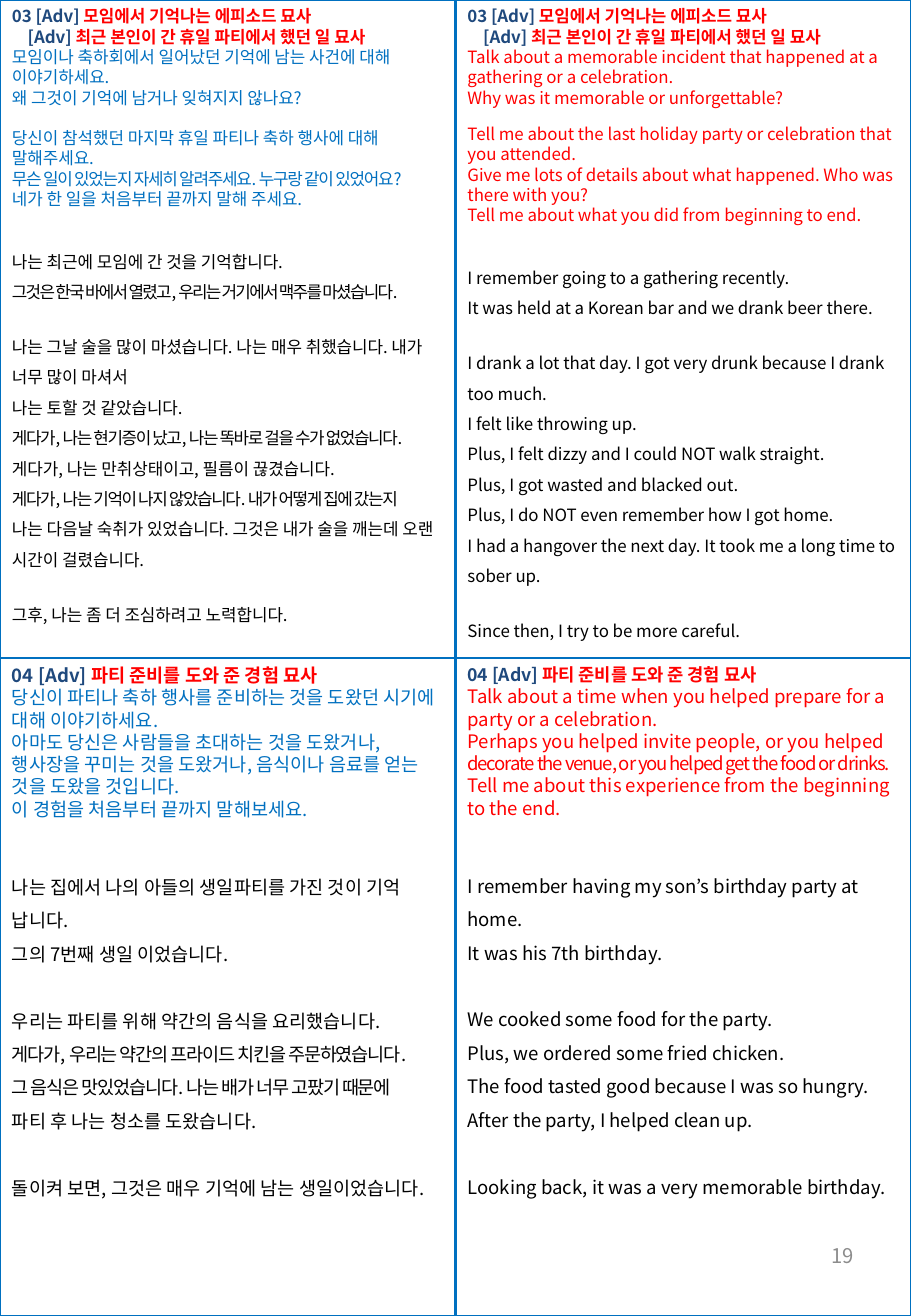
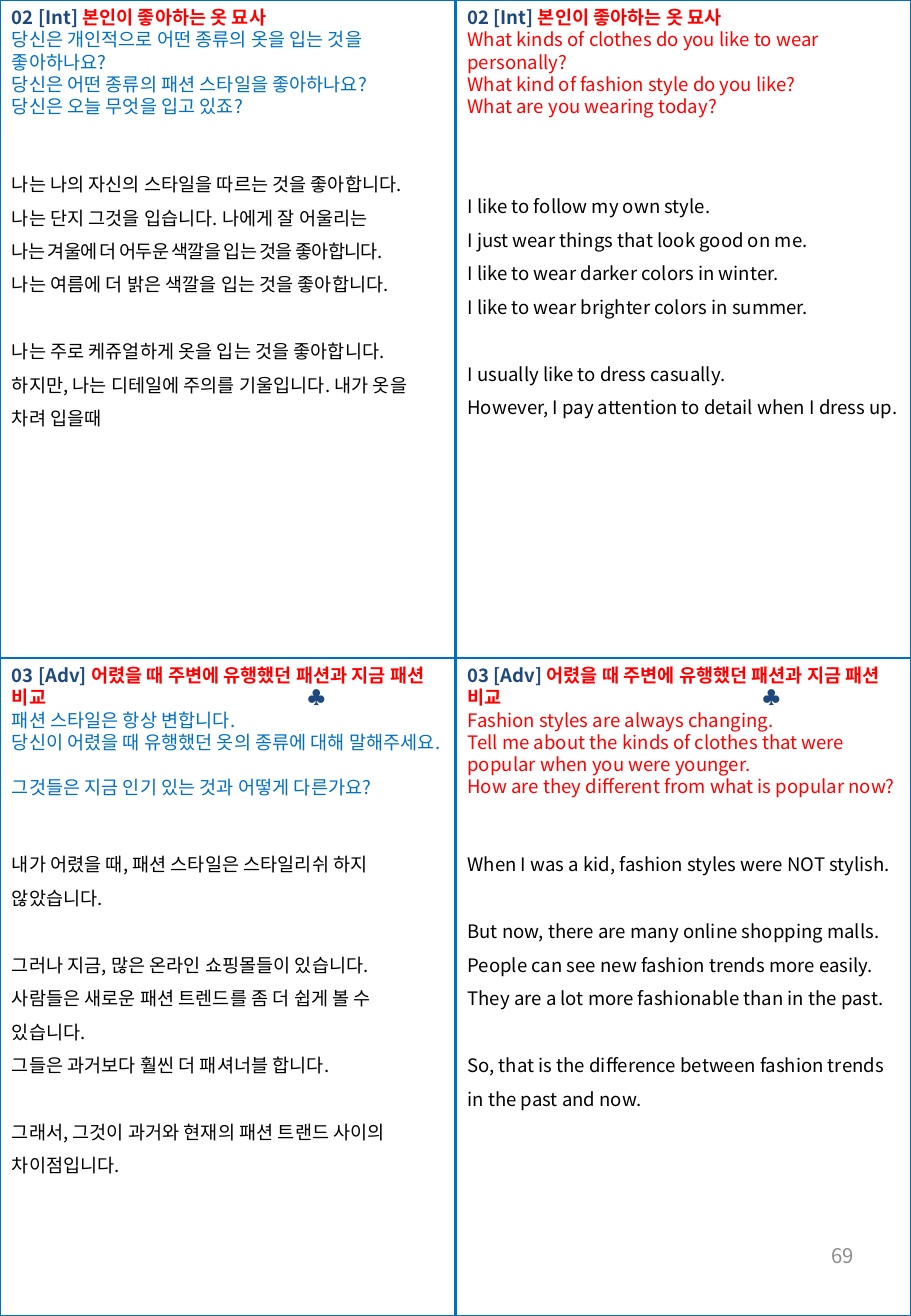
"""Builds two study sheets of Korean and English interview answers."""
import dataclasses

import lxml.etree
import pptx
import pptx.dml.color
import pptx.enum.shapes
import pptx.enum.text
import pptx.oxml.ns
import pptx.util


@dataclasses.dataclass(frozen=True)
class Theme:
    width: float = 7.5
    height: float = 10.83
    columns: int = 2
    rows: int = 2
    font: str = "Noto Sans CJK KR"
    rule: str = "0070C0"
    tag: str = "1F497D"
    title: str = "FF0000"
    korean: str = "0070C0"
    english: str = "FF0000"
    answer: str = "000000"
    number: str = "8C8C8C"
    number_size: float = 12
    small_size: float = 10
    body_size: float = 11
    rule_width: float = 1.5
    line_height: float = 1.2
    answer_leading: float = 1.5
    title_indent: float = 0.13
    mark_tab: float = 2.43


@dataclasses.dataclass
class Tight:
    text: str
    spacing: float
    lead: str = ""


@dataclasses.dataclass
class Passage:
    prompts: list
    answers: list
    rows: float
    colour: str
    size: float = Theme.body_size
    title_size: float = Theme.body_size
    gap: float = 11
    prompt_gap: float = 11
    lead_lines: float = 2


class Sheet:
    def __init__(self, theme):
        self.theme = theme
        self.deck = pptx.Presentation()
        self.deck.slide_width = pptx.util.Inches(theme.width)
        self.deck.slide_height = pptx.util.Inches(theme.height)
        self.slide = None

    def x(self, share):
        return round(self.deck.slide_width * share)

    def y(self, share):
        return round(self.deck.slide_height * share)

    def rule(self, line):
        line.color.rgb = pptx.dml.color.RGBColor.from_string(self.theme.rule)
        line.width = pptx.util.Pt(self.theme.rule_width)

    def start(self, number):
        self.slide = self.deck.slides.add_slide(self.deck.slide_layouts[6])
        border = self.slide.shapes.add_shape(
            pptx.enum.shapes.MSO_SHAPE.RECTANGLE, 0, 0, self.x(1), self.y(1))
        border.shadow.inherit = False
        border.fill.background()
        self.rule(border.line)
        self.divider(border, 1, 3)
        self.divider(border, 0, 2)
        frame = self.box(0.7175, 0.927, 0.2333, 0.0536)
        frame.vertical_anchor = pptx.enum.text.MSO_ANCHOR.MIDDLE
        paragraph = self.paragraph(frame, [(number, self.theme.number, False, 0)],
                                   self.theme.number_size)
        paragraph.alignment = pptx.enum.text.PP_ALIGN.RIGHT

    def divider(self, border, begin, end):
        divider = self.slide.shapes.add_connector(
            pptx.enum.shapes.MSO_CONNECTOR.STRAIGHT, 0, 0, self.x(1), self.y(1))
        divider.begin_connect(border, begin)
        divider.end_connect(border, end)
        self.rule(divider.line)
        lxml.etree.SubElement(divider._element.spPr, pptx.oxml.ns.qn("a:effectLst"))

    def box(self, left, top, width, height):
        frame = self.slide.shapes.add_textbox(
            self.x(left), self.y(top), self.x(width), self.y(height)).text_frame
        frame.word_wrap = True
        return frame

    def paragraph(self, frame, pieces, size, gap=0, leading=1, indent=0, tab=0):
        paragraph = frame.add_paragraph() if frame.text else frame.paragraphs[0]
        properties = paragraph._p.get_or_add_pPr()
        if indent:
            properties.set("marL", str(pptx.util.Inches(indent)))
        if tab:
            stops = lxml.etree.SubElement(properties, pptx.oxml.ns.qn("a:tabLst"))
            lxml.etree.SubElement(stops, pptx.oxml.ns.qn("a:tab"),
                                  pos=str(pptx.util.Inches(tab)), algn="l")
        if gap:
            paragraph.space_before = pptx.util.Pt(round(gap, 2))
        if leading != 1:
            paragraph.line_spacing = leading
        for text, colour, bold, spacing in pieces:
            run = paragraph.add_run()
            run.text = text
            run.font.size = pptx.util.Pt(size)
            run.font.bold = bold
            run.font.color.rgb = pptx.dml.color.RGBColor.from_string(colour)
            run.font.name = self.theme.font
            style = run._r.get_or_add_rPr()
            lxml.etree.SubElement(style, pptx.oxml.ns.qn("a:ea"), typeface=self.theme.font)
            if spacing:
                style.set("spc", str(round(spacing * 100)))
        return paragraph

    def stanzas(self, frame, stanzas, colour, size, first_gap, gap, leading):
        for index, stanza in enumerate(stanzas):
            for position, line in enumerate(stanza):
                space = 0 if position else gap if index else first_gap
                if isinstance(line, Tight):
                    pieces = [(line.text, colour, False, line.spacing)]
                    if line.lead:
                        pieces.insert(0, (line.lead, colour, False, 0))
                else:
                    pieces = [(line, colour, False, 0)]
                self.paragraph(frame, pieces, size, space, leading)

    def passage(self, column, row, titles, content):
        theme = self.theme
        frame = self.box(column / theme.columns, row / theme.rows,
                         1 / theme.columns, content.rows / theme.rows)
        frame.auto_size = pptx.enum.text.MSO_AUTO_SIZE.SHAPE_TO_FIT_TEXT
        for index, (tag, title, mark) in enumerate(titles):
            pieces = [(tag + " ", theme.tag, True, 0), (title, theme.title, True, 0)]
            if mark:
                pieces.append(("\t" + mark, theme.tag, True, 0))
            self.paragraph(frame, pieces, content.title_size,
                           indent=theme.title_indent if index else 0,
                           tab=theme.mark_tab if mark else 0)
        blank = content.gap * theme.line_height
        self.stanzas(frame, content.prompts, content.colour, content.size,
                     0, content.prompt_gap * theme.line_height, 1)
        self.stanzas(frame, content.answers, theme.answer, content.size,
                     blank * content.lead_lines, blank * theme.answer_leading,
                     theme.answer_leading)


EPISODE_TITLES = [("03 [Adv]", "모임에서 기억나는 에피소드 묘사", ""),
                  ("[Adv]", "최근 본인이 간 휴일 파티에서 했던 일 묘사", "")]
EPISODE_KOREAN = Passage(
    [["모임이나 축하회에서 일어났던 기억에 남는 사건에 대해 이야기하세요.",
      "왜 그것이 기억에 남거나 잊혀지지 않나요?"],
     ["당신이 참석했던 마지막 휴일 파티나 축하 행사에 대해 말해주세요.",
      Tight("무슨 일이 있었는지 자세히 알려주세요. 누구랑 같이 있었어요?", -0.7),
      "네가 한 일을 처음부터 끝까지 말해 주세요."]],
    [["나는 최근에 모임에 간 것을 기억합니다.",
      Tight("그것은 한국 바에서 열렸고, 우리는 거기에서 맥주를 마셨습니다.", -1)],
     ["나는 그날 술을 많이 마셨습니다. 나는 매우 취했습니다. 내가 너무 많이 마셔서",
      "나는 토할 것 같았습니다.",
      Tight("게다가, 나는 현기증이 났고, 나는 똑바로 걸을 수가 없었습니다.", -0.8),
      "게다가, 나는 만취상태이고, 필름이 끊겼습니다.",
      Tight("게다가, 나는 기억이 나지 않았습니다. 내가 어떻게 집에 갔는지", -0.8),
      "나는 다음날 숙취가 있었습니다. 그것은 내가 술을 깨는데 오랜 시간이 걸렸습니다."],
     ["그후, 나는 좀 더 조심하려고 노력합니다."]],
    0.97, Theme.korean, Theme.small_size, Theme.small_size, gap=8, prompt_gap=10)
EPISODE_ENGLISH = Passage(
    [["Talk about a memorable incident that happened at a gathering or a celebration.",
      "Why was it memorable or unforgettable?"],
     ["Tell me about the last holiday party or celebration that you attended.",
      "Give me lots of details about what happened. Who was there with you?",
      "Tell me about what you did from beginning to end."]],
    [["I remember going to a gathering recently.",
      "It was held at a Korean bar and we drank beer there."],
     ["I drank a lot that day. I got very drunk because I drank too much.",
      "I felt like throwing up.",
      "Plus, I felt dizzy and I could NOT walk straight.",
      "Plus, I got wasted and blacked out.",
      "Plus, I do NOT even remember how I got home.",
      "I had a hangover the next day. It took me a long time to sober up."],
     ["Since then, I try to be more careful."]],
    1.02, Theme.english, Theme.small_size, Theme.small_size, gap=8, prompt_gap=8)

PARTY_TITLES = [("04 [Adv]", "파티 준비를 도와 준 경험 묘사", "")]
PARTY_KOREAN = Passage(
    [["당신이 파티나 축하 행사를 준비하는 것을 도왔던 시기에 대해 이야기하세요.",
      "아마도 당신은 사람들을 초대하는 것을 도왔거나, 행사장을 꾸미는 것을 도왔거나, "
      "음식이나 음료를 얻는 것을 도왔을 것입니다.",
      "이 경험을 처음부터 끝까지 말해보세요."]],
    [["나는 집에서 나의 아들의 생일파티를 가진 것이 기억 납니다.",
      "그의 7번째 생일 이었습니다."],
     ["우리는 파티를 위해 약간의 음식을 요리했습니다.",
      Tight("게다가, 우리는 약간의 프라이드 치킨을 주문하였습니다.", -0.7),
      Tight("그 음식은 맛있었습니다. 나는 배가 너무 고팠기 때문에", -0.7),
      "파티 후 나는 청소를 도왔습니다."],
     ["돌이켜 보면, 그것은 매우 기억에 남는 생일이었습니다."]],
    0.88, Theme.korean)
PARTY_ENGLISH = Passage(
    [["Talk about a time when you helped prepare for a party or a celebration.",
      Tight("decorate the venue, or you helped get the food or drinks.", -0.7,
            "Perhaps you helped invite people, or you helped "),
      "Tell me about this experience from the beginning to the end."]],
    [["I remember having my son’s birthday party at home.",
      "It was his 7th birthday."],
     ["We cooked some food for the party.",
      "Plus, we ordered some fried chicken.",
      "The food tasted good because I was so hungry.",
      "After the party, I helped clean up."],
     ["Looking back, it was a very memorable birthday."]],
    0.83, Theme.english, title_size=10.5)

CLOTHES_TITLES = [("02 [Int]", "본인이 좋아하는 옷 묘사", "")]
CLOTHES_KOREAN = Passage(
    [["당신은 개인적으로 어떤 종류의 옷을 입는 것을 좋아하나요?",
      "당신은 어떤 종류의 패션 스타일을 좋아하나요?",
      "당신은 오늘 무엇을 입고 있죠?"]],
    [["나는 나의 자신의 스타일을 따르는 것을 좋아합니다.",
      "나는 단지 그것을 입습니다. 나에게 잘 어울리는",
      Tight("나는 겨울에 더 어두운 색깔을 입는 것을 좋아합니다.", -0.5),
      "나는 여름에 더 밝은 색깔을 입는 것을 좋아합니다."],
     ["나는 주로 케쥬얼하게 옷을 입는 것을 좋아합니다.",
      "하지만, 나는 디테일에 주의를 기울입니다. 내가 옷을 차려 입을때"]],
    0.66, Theme.korean)
CLOTHES_ENGLISH = Passage(
    [["What kinds of clothes do you like to wear personally?",
      "What kind of fashion style do you like?",
      "What are you wearing today?"]],
    [["I like to follow my own style.",
      "I just wear things that look good on me.",
      "I like to wear darker colors in winter.",
      "I like to wear brighter colors in summer."],
     ["I usually like to dress casually.",
      "However, I pay attention to detail when I dress up."]],
    0.7, Theme.english, lead_lines=3)

FASHION_TITLES = [("03 [Adv]", "어렸을 때 주변에 유행했던 패션과 지금 패션 비교", "♣")]
FASHION_KOREAN = Passage(
    [["패션 스타일은 항상 변합니다.",
      "당신이 어렸을 때 유행했던 옷의 종류에 대해 말해주세요."],
     ["그것들은 지금 인기 있는 것과 어떻게 다른가요?"]],
    [["내가 어렸을 때, 패션 스타일은 스타일리쉬 하지 않았습니다."],
     ["그러나 지금, 많은 온라인 쇼핑몰들이 있습니다.",
      "사람들은 새로운 패션 트렌드를 좀 더 쉽게 볼 수 있습니다.",
      "그들은 과거보다 훨씬 더 패셔너블 합니다."],
     ["그래서, 그것이 과거와 현재의 패션 트랜드 사이의 차이점입니다."]],
    0.8, Theme.korean)
FASHION_ENGLISH = Passage(
    [["Fashion styles are always changing.",
      "Tell me about the kinds of clothes that were popular when you were younger.",
      "How are they different from what is popular now?"]],
    [["When I was a kid, fashion styles were NOT stylish."],
     ["But now, there are many online shopping malls.",
      "People can see new fashion trends more easily.",
      "They are a lot more fashionable than in the past."],
     ["So, that is the difference between fashion trends in the past and now."]],
    0.7, Theme.english)

PAGES = {
    "19": [(EPISODE_TITLES, EPISODE_KOREAN, EPISODE_ENGLISH),
           (PARTY_TITLES, PARTY_KOREAN, PARTY_ENGLISH)],
    "69": [(CLOTHES_TITLES, CLOTHES_KOREAN, CLOTHES_ENGLISH),
           (FASHION_TITLES, FASHION_KOREAN, FASHION_ENGLISH)],
}


def main():
    sheet = Sheet(Theme())
    for number, topics in PAGES.items():
        sheet.start(number)
        for row, (titles, *languages) in enumerate(topics):
            for column, content in enumerate(languages):
                sheet.passage(column, row, titles, content)
    sheet.deck.save("out.pptx")


if __name__ == "__main__":
    main()
